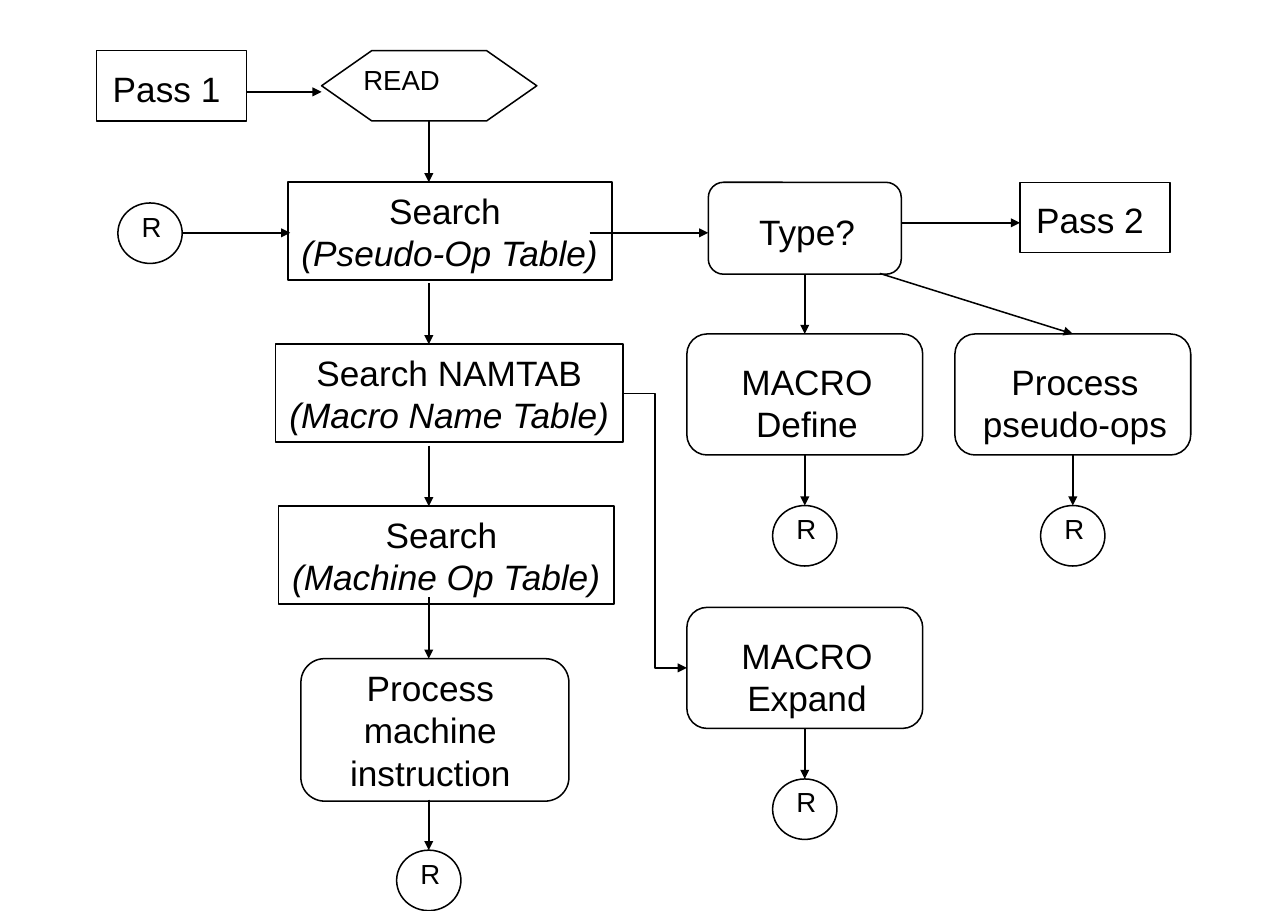
from pptx import Presentation
from pptx.dml.color import RGBColor
from pptx.enum.shapes import MSO_CONNECTOR, MSO_SHAPE
from pptx.enum.text import MSO_ANCHOR, PP_ALIGN
from pptx.oxml.ns import qn
from pptx.util import Pt
from lxml.etree import SubElement

INK = RGBColor(0, 0, 0)
FONT = "Arial"
LINE_WIDTH = 1
STEP_SIZE = 23
SMALL_SIZE = 18

FLOW_X = 280
SEARCH_HEIGHT = 64
SEARCH_TOP = 119
SEARCH_PITCH = 105.75
BRANCH_WIDTH, BRANCH_HEIGHT = 154, 79
MACRO_LEFT, PSEUDO_LEFT = 448.5, 623.5
RETURN_WIDTH, RETURN_HEIGHT = 42, 39.5
RETURN_GAP = 33


def add_node(slide, preset, box, lines, size=STEP_SIZE, shift=(0, 0), wrap=False):
    node = slide.shapes.add_shape(preset, *(Pt(length) for length in box))
    node.shadow.inherit = False
    node.fill.background()
    node.line.color.rgb = INK
    node.line.width = Pt(LINE_WIDTH)
    frame = node.text_frame
    frame.word_wrap = wrap
    frame.vertical_anchor = MSO_ANCHOR.MIDDLE
    dx, dy = shift
    frame.margin_left, frame.margin_right = Pt(max(2 * dx, 0)), Pt(max(-2 * dx, 0))
    frame.margin_top, frame.margin_bottom = Pt(max(2 * dy, 0)), Pt(max(-2 * dy, 0))
    for index, (words, italic) in enumerate(lines):
        paragraph = frame.add_paragraph() if index else frame.paragraphs[0]
        paragraph.alignment = PP_ALIGN.CENTER
        run = paragraph.add_run()
        run.text = words
        run.font.name = FONT
        run.font.size = Pt(size)
        run.font.italic = italic
        run.font.color.rgb = INK
    return node


def add_pass(slide, left, top, words):
    return add_node(slide, MSO_SHAPE.RECTANGLE, (left, top, 98, 46),
                    [(words, False)], shift=(-3.2, 1.5))


def add_search(slide, row, left, width, heading, table):
    box = (left, SEARCH_TOP + row * SEARCH_PITCH, width, SEARCH_HEIGHT)
    return add_node(slide, MSO_SHAPE.RECTANGLE, box, [(heading, False), (table, True)])


def add_step(slide, box, lines, shift, wrap=False):
    return add_node(slide, MSO_SHAPE.ROUNDED_RECTANGLE, box,
                    [(words, False) for words in lines], shift=shift, wrap=wrap)


def add_branch(slide, left, top, lines):
    return add_step(slide, (left, top, BRANCH_WIDTH, BRANCH_HEIGHT), lines, (1.5, 5.4))


def add_return(slide, center_x, top):
    box = (center_x - RETURN_WIDTH / 2, top, RETURN_WIDTH, RETURN_HEIGHT)
    return add_node(slide, MSO_SHAPE.OVAL, box, [("R", False)], SMALL_SIZE, (1, -4.7))


def add_arrow(slide, start=(0, 0), end=(0, 0), source=None, target=None,
              kind=MSO_CONNECTOR.STRAIGHT):
    arrow = slide.shapes.add_connector(kind, *(Pt(length) for length in (*start, *end)))
    if source:
        arrow.begin_connect(*source)
    if target:
        arrow.end_connect(*target)
    arrow.line.color.rgb = INK
    arrow.line.width = Pt(LINE_WIDTH)
    SubElement(arrow.line._get_or_add_ln(), qn("a:tailEnd"), type="triangle")
    SubElement(arrow._element.spPr, qn("a:effectLst"))


def add_branch_return(slide, branch, left, top):
    circle = add_return(slide, left + BRANCH_WIDTH / 2, top + BRANCH_HEIGHT + RETURN_GAP)
    add_arrow(slide, source=(branch, 2), target=(circle, 0))


def main():
    presentation = Presentation()
    presentation.slide_width, presentation.slide_height = Pt(841), Pt(594.7)
    slide = presentation.slides.add_slide(presentation.slide_layouts[6])

    add_pass(slide, 63, 33, "Pass 1")
    read = add_node(slide, MSO_SHAPE.HEXAGON, (210, 33, 140.5, 46),
                    [("READ", False)], SMALL_SIZE, (-18, -4))
    read.adjustments[0] = 0.714

    add_search(slide, 0, 188, 211.5, "Search ", "(Pseudo-Op Table)")
    name_search = add_search(slide, 1, 180, 227, "Search NAMTAB", "(Macro Name Table)")
    add_search(slide, 2, 182, 219, "Search ", "(Machine Op Table)")
    add_step(slide, (196.5, 430, 175, 93), ["Process machine instruction"], (-2.9, 0), True)
    add_return(slide, 98, 132.5)
    add_return(slide, FLOW_X, 555)

    op_type = add_step(slide, (462.5, 119, 126, 60), ["Type?"], (1.5, 1.8))
    define = add_branch(slide, MACRO_LEFT, 218, ["MACRO", "Define"])
    pseudo_ops = add_branch(slide, PSEUDO_LEFT, 218, ["Process", "pseudo-ops"])
    expand = add_branch(slide, MACRO_LEFT, 396.5, ["MACRO", "Expand"])
    add_pass(slide, 666, 119, "Pass 2")

    for start_y, end_y in [(79, 119), (185, 224.75), (291, 330.5), (390, 430), (522, 555)]:
        add_arrow(slide, (FLOW_X, start_y), (FLOW_X, end_y))
    for start_x, end_x, y in [(161, 210, 60), (119, 189.5, 152),
                              (385, 462.5, 152), (588.5, 666, 145.5)]:
        add_arrow(slide, (start_x, y), (end_x, y))
    add_arrow(slide, source=(op_type, 2), target=(define, 0))
    add_arrow(slide, start=(574.5, 178.5), target=(pseudo_ops, 0))
    add_arrow(slide, source=(name_search, 3), target=(expand, 1), kind=MSO_CONNECTOR.ELBOW)
    for branch, left, top in [(define, MACRO_LEFT, 218), (pseudo_ops, PSEUDO_LEFT, 218),
                              (expand, MACRO_LEFT, 396.5)]:
        add_branch_return(slide, branch, left, top)

    presentation.save("out.pptx")


if __name__ == "__main__":
    main()
